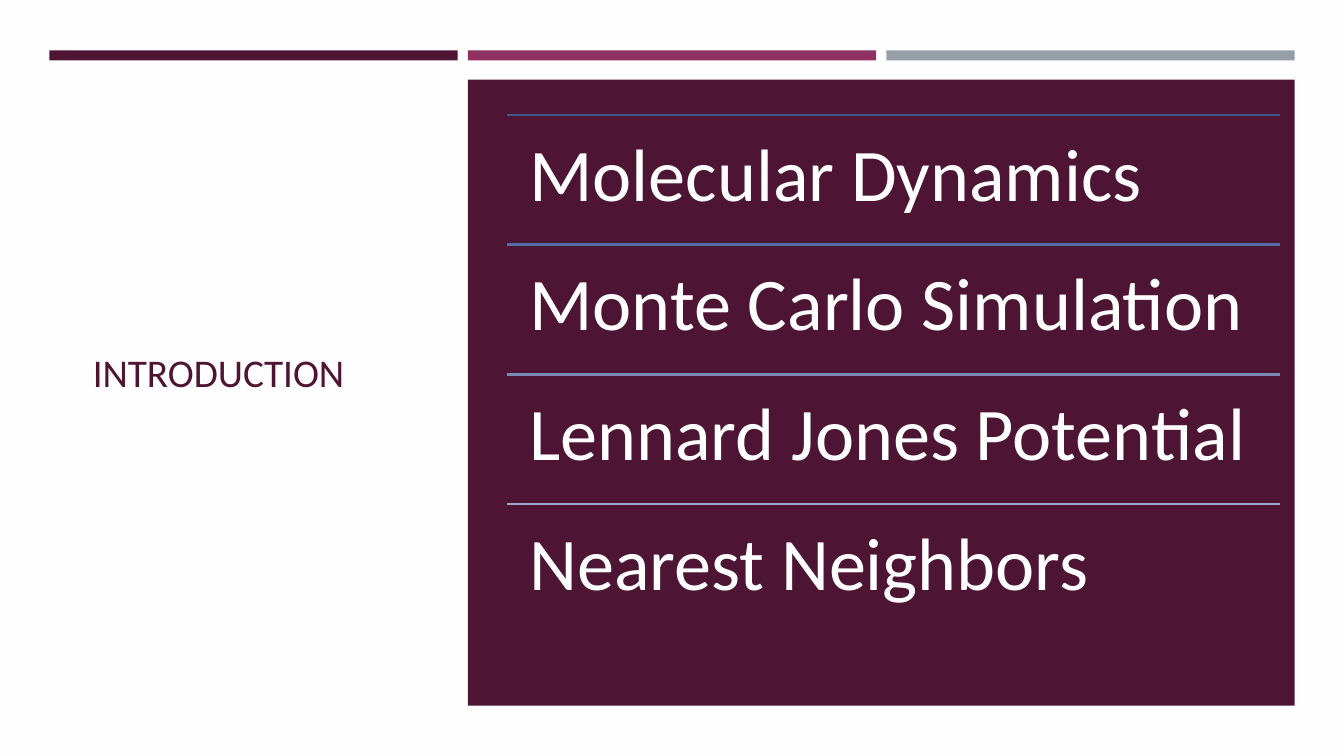
from dataclasses import dataclass

from lxml.etree import SubElement
from pptx import Presentation
from pptx.dml.color import RGBColor
from pptx.enum.shapes import MSO_CONNECTOR, MSO_SHAPE
from pptx.enum.text import MSO_ANCHOR, MSO_AUTO_SIZE, PP_ALIGN
from pptx.oxml.ns import qn
from pptx.util import Inches, Pt


@dataclass
class Theme:
    font: str = "Calibri"
    page: str = "FFFEFF"
    plum: str = "4D1434"
    rose: str = "903163"
    gray: str = "969FA7"
    white: str = "FFFFFF"
    rules: tuple = ("3A588E", "516EAA", "788AB5", "9EA8C2")
    head: int = 28
    item: int = 53
    rule: float = 1.75


theme = Theme()


def write(shape, text, size, color, anchor=MSO_ANCHOR.TOP, inset=None, lead=0.9):
    frame = shape.text_frame
    frame.word_wrap = True
    frame.auto_size = MSO_AUTO_SIZE.NONE
    frame.vertical_anchor = anchor
    if inset is not None:
        frame.margin_left = frame.margin_right = Inches(inset)
        frame.margin_top = frame.margin_bottom = Inches(inset)
    frame.text = text
    par = frame.paragraphs[0]
    par.alignment = PP_ALIGN.LEFT
    par.line_spacing = lead
    font = par.runs[0].font
    font.name, font.size = theme.font, Pt(size)
    font.color.rgb = RGBColor.from_string(color)


def block(left, top, width, height, color):
    shape = slide.shapes.add_shape(
        MSO_SHAPE.RECTANGLE, Inches(left), Inches(top), Inches(width), Inches(height))
    shape.shadow.inherit = False
    shape.fill.solid()
    shape.fill.fore_color.rgb = RGBColor.from_string(color)
    shape.line.fill.background()


# Slide and page colour
deck = Presentation()
deck.slide_width, deck.slide_height = Inches(13.33), Inches(7.5)
slide = deck.slides.add_slide(deck.slide_layouts[5])
page = slide.background.fill
page.solid()
page.fore_color.rgb = RGBColor.from_string(theme.page)

# Three-column grid: bars on top, panel over the last two columns
edge, col, gap = 0.49, 4.05, 0.1
step = col + gap
for i, color in enumerate((theme.plum, theme.rose, theme.gray)):
    block(edge + i * step, 0.5, col, 0.1, color)
block(edge + step, 0.79, step + col, 6.21, theme.plum)

# Title in the first column
top, tall = 1.14, 5.15
title = slide.shapes.title
title.left, title.top = Inches(0.82), Inches(top)
title.width, title.height = Inches(3.34), Inches(tall)
write(title, "INTRODUCTION", theme.head, theme.plum, anchor=MSO_ANCHOR.MIDDLE)

# Topics: equal rows, each under a rule
topics = ("Molecular Dynamics", "Monte Carlo Simulation",
          "Lennard Jones Potential", "Nearest Neighbors")
left, wide = 5.03, 7.67
row = tall / len(topics)
for i, (topic, color) in enumerate(zip(topics, theme.rules)):
    y = Inches(top + i * row)
    rule = slide.shapes.add_connector(
        MSO_CONNECTOR.STRAIGHT, Inches(left), y, Inches(left + wide), y)
    rule.line.color.rgb = RGBColor.from_string(color)
    rule.line.width = Pt(theme.rule)
    SubElement(rule.element.spPr, qn("a:effectLst"))
    box = slide.shapes.add_textbox(Inches(left), y, Inches(wide), Inches(row))
    write(box, topic, theme.item, theme.white, inset=0.22)

deck.save("out.pptx")
